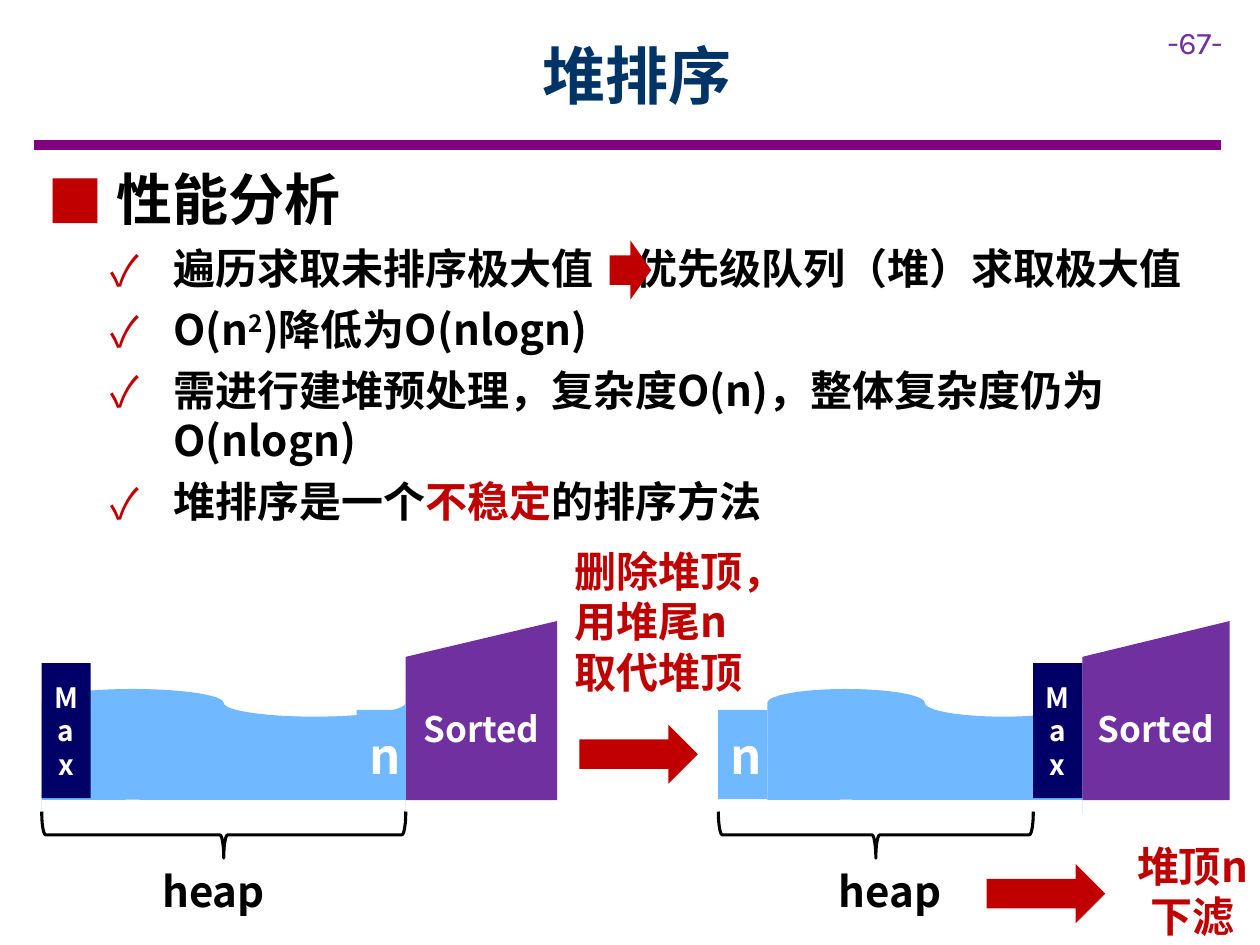
from dataclasses import dataclass

from lxml import etree
from pptx import Presentation
from pptx.dml.color import RGBColor
from pptx.enum.shapes import MSO_CONNECTOR, MSO_SHAPE
from pptx.enum.text import MSO_ANCHOR, PP_ALIGN
from pptx.oxml.ns import qn
from pptx.util import Cm, Pt

LEFT, CENTER = PP_ALIGN.LEFT, PP_ALIGN.CENTER
TOP, MIDDLE = MSO_ANCHOR.TOP, MSO_ANCHOR.MIDDLE
RECTANGLE, ARROW = MSO_SHAPE.RECTANGLE, MSO_SHAPE.RIGHT_ARROW
TAPE, SLOPE = MSO_SHAPE.FLOWCHART_PUNCHED_TAPE, MSO_SHAPE.FLOWCHART_MANUAL_INPUT
BRACE, STRAIGHT = MSO_SHAPE.RIGHT_BRACE, MSO_CONNECTOR.STRAIGHT


@dataclass(frozen=True)
class Theme:
    font: str = "Noto Sans CJK SC"
    number_font: str = "Karla"
    black: str = "000000"
    white: str = "FFFFFF"
    red: str = "C00000"
    purple: str = "7030A0"
    rule: str = "800080"
    title: str = "003366"
    heap: str = "70B8FF"
    maximum: str = "000066"
    title_size: int = 36
    heading_size: int = 32
    node_size: int = 28
    body_size: int = 24
    sorted_size: int = 20
    number_size: int = 18
    max_size: int = 16


THEME = Theme()


@dataclass(frozen=True)
class Box:
    left: float
    top: float
    width: float
    height: float

    def lengths(self) -> tuple:
        return Cm(self.left), Cm(self.top), Cm(self.width), Cm(self.height)


@dataclass(frozen=True)
class Style:
    size: int = THEME.body_size
    color: str = THEME.black
    bold: bool = True
    font: str = THEME.font


@dataclass(frozen=True)
class Span:
    text: str
    color: str = THEME.black
    raised: bool = False


@dataclass(frozen=True)
class Bullet:
    mark: str
    size: int
    level: int
    margin: float
    hanging: float
    spans: tuple


@dataclass(frozen=True)
class HeapState:
    left: float
    sorted_width: float
    max_first: bool


HEAP_WIDTH, CELL_WIDTH, BRACE_DEPTH = 7.34, 0.99, 0.94
STATES = (HeapState(0.84, 3.05, True), HeapState(14.48, 2.97, False))


def point(*spans: Span) -> Bullet:
    return Bullet("✓", THEME.body_size, 1, 2.54, 1.27, spans)


BULLETS = (
    Bullet("■", THEME.heading_size, 0, 0.95, 0.95, (Span(" 性能分析"),)),
    point(Span("遍历求取未排序极大值　优先级队列（堆）求取极大值")),
    point(Span("O(n"), Span("2", raised=True), Span(")降低为O(nlogn)")),
    point(Span("需进行建堆预处理，复杂度O(n)，整体复杂度仍为O(nlogn)")),
    point(Span("堆排序是一个"), Span("不稳定", THEME.red), Span("的排序方法")),
)


def format_run(run, style: Style) -> None:
    run.font.size = Pt(style.size)
    run.font.bold = style.bold
    run.font.name = style.font
    run.font.color.rgb = RGBColor.from_string(style.color)
    etree.SubElement(run.font._element, qn("a:ea"), typeface=style.font)


def write(shape, text: str, style: Style, align=LEFT, anchor=TOP, wrap: bool = True) -> None:
    frame = shape.text_frame
    frame.text = text
    frame.word_wrap = wrap
    frame.vertical_anchor = anchor
    para = frame.paragraphs[0]
    para.alignment = align
    format_run(para.runs[0], style)


def add_text(page, box: Box, text: str, style: Style, **layout) -> None:
    write(page.shapes.add_textbox(*box.lengths()), text, style, **layout)


def add_block(page, kind, box: Box, fill: str, text: str = "", size: int = THEME.body_size):
    shape = page.shapes.add_shape(kind, *box.lengths())
    shape.shadow.inherit = False
    shape.fill.solid()
    shape.fill.fore_color.rgb = RGBColor.from_string(fill)
    shape.line.fill.background()
    if text:
        frame = shape.text_frame
        frame.margin_top = frame.margin_bottom = Cm(0.25)
        write(shape, text, Style(size, THEME.white), CENTER, MIDDLE)
    return shape


def add_brace(page, left: float, top: float, width: float) -> None:
    box = Box(left + (width - BRACE_DEPTH) / 2, top - (width - BRACE_DEPTH) / 2, BRACE_DEPTH, width)
    brace = page.shapes.add_shape(BRACE, *box.lengths())
    brace.shadow.inherit = False
    brace.rotation = 90
    brace.fill.background()
    brace.line.color.rgb = RGBColor.from_string(THEME.black)
    brace.line.width = Pt(1.75)


def add_rule(page) -> None:
    rule = page.shapes.add_connector(STRAIGHT, Cm(0.69), Cm(2.92), Cm(24.61), Cm(2.92))
    rule.line.color.rgb = RGBColor.from_string(THEME.rule)
    rule.line.width = Pt(6)
    etree.SubElement(rule._element.spPr, qn("a:effectLst"))


def add_bullets(page, box: Box, bullets: tuple) -> None:
    frame = page.shapes.add_textbox(*box.lengths()).text_frame
    frame.word_wrap = True
    for index, bullet in enumerate(bullets):
        para = frame.add_paragraph() if index else frame.paragraphs[0]
        para.level = bullet.level
        para.space_after = Pt(6)
        properties = para._p.get_or_add_pPr()
        properties.set("marL", str(Cm(bullet.margin)))
        properties.set("indent", str(-Cm(bullet.hanging)))
        color = etree.SubElement(properties, qn("a:buClr"))
        etree.SubElement(color, qn("a:srgbClr"), val=THEME.red)
        etree.SubElement(properties, qn("a:buFont"), typeface=THEME.font)
        etree.SubElement(properties, qn("a:buChar"), char=bullet.mark)
        for span in bullet.spans:
            run = para.add_run()
            run.text = span.text
            format_run(run, Style(bullet.size, span.color))
            if span.raised:
                run.font._element.set("baseline", "30000")


def add_heap(page, state: HeapState) -> None:
    left, end = state.left, state.left + HEAP_WIDTH
    last = end - CELL_WIDTH
    max_left, node_left = (left, last) if state.max_first else (last, left)
    tape_left = left if state.max_first else left + CELL_WIDTH
    brace_width = HEAP_WIDTH if state.max_first else HEAP_WIDTH - CELL_WIDTH
    add_block(page, SLOPE, Box(end, 12.52, state.sorted_width, 3.61),
              THEME.purple, "Sorted", THEME.sorted_size)
    tape = add_block(page, TAPE, Box(tape_left, 13.89, end - tape_left, 2.79), THEME.heap)
    tape._element.spPr.xfrm.set("flipH", "1")
    add_block(page, RECTANGLE, Box(left, 16.13, HEAP_WIDTH, 1.04), THEME.white)
    add_block(page, RECTANGLE, Box(node_left, 14.31, CELL_WIDTH, 1.8),
              THEME.heap, "n", THEME.node_size)
    add_block(page, RECTANGLE, Box(max_left, 13.37, CELL_WIDTH, 2.72),
              THEME.maximum, "Max", THEME.max_size)
    add_brace(page, left, 16.36, brace_width)
    add_text(page, Box(left + 2.18, 17.32, 2.62, 1.27), "heap", Style(), wrap=False)


def main() -> None:
    """Build the heap sort performance slide."""
    deck = Presentation()
    deck.slide_width, deck.slide_height = Cm(25.4), Cm(19.05)
    page = deck.slides.add_slide(deck.slide_layouts[6])
    add_rule(page)
    add_text(page, Box(23.29, 0.33, 2.11, 1.02), "-67-",
             Style(THEME.number_size, THEME.purple, False, THEME.number_font))
    add_text(page, Box(2.29, 0.23, 21.11, 2.54), "堆排序",
             Style(THEME.title_size, THEME.title), align=CENTER, anchor=MIDDLE)
    add_bullets(page, Box(0.71, 3.2, 24.41, 7.62), BULLETS)
    add_block(page, ARROW, Box(12.29, 4.85, 0.84, 1.19), THEME.red)
    for state in STATES:
        add_heap(page, state)
    for left, top in ((11.68, 14.61), (19.89, 17.42)):
        add_block(page, ARROW, Box(left, top, 2.39, 1.19), THEME.red)
    red = Style(color=THEME.red)
    add_text(page, Box(11.33, 10.87, 4.29, 3.33), "删除堆顶，用堆尾n取代堆顶", red)
    add_text(page, Box(22.4, 16.81, 3.28, 2.31), "堆顶n下滤", red, align=CENTER)
    deck.save("out.pptx")


if __name__ == "__main__":
    main()
